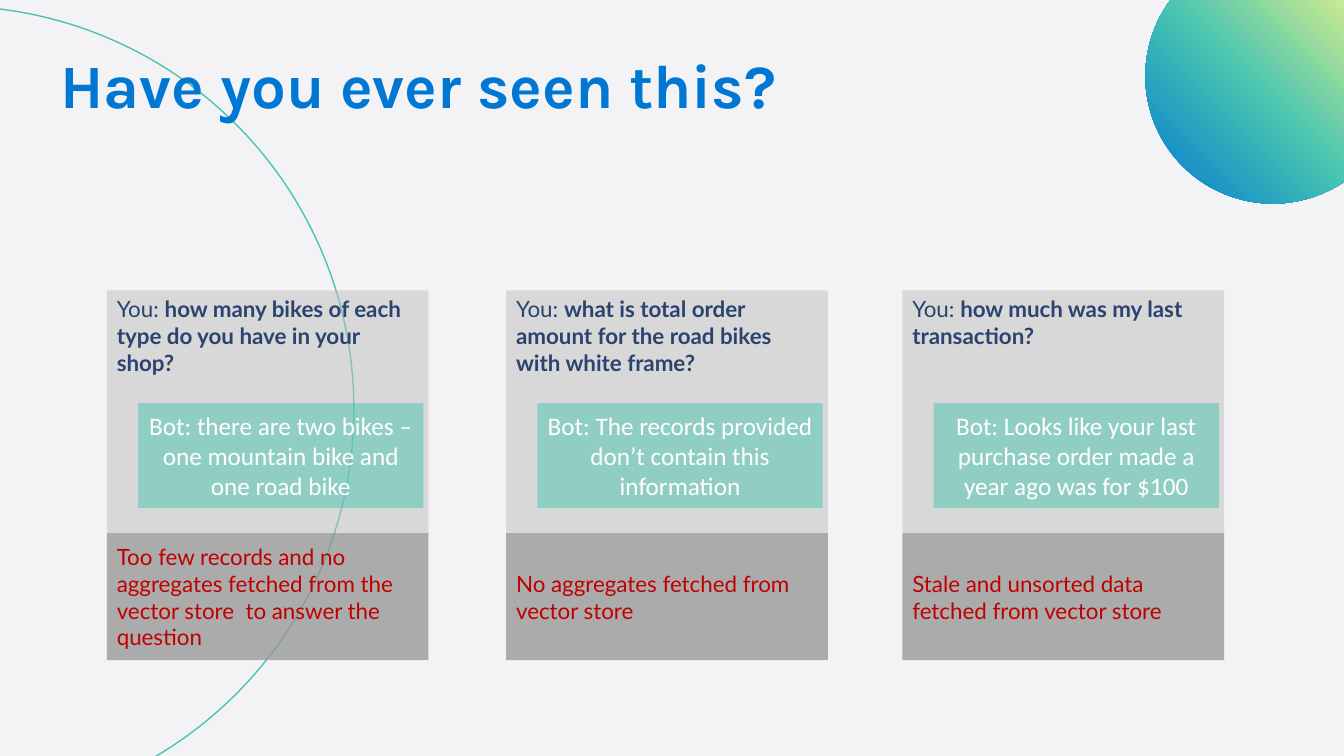
from lxml import etree
from pptx import Presentation
from pptx.dml.color import RGBColor
from pptx.enum import shapes, text
from pptx.oxml import ns
from pptx.util import Inches, Pt

HUES = {
    "back": "F3F3F5", "blue": "0078D3", "teal": "49C5B1", "lime": "D3EC8E",
    "card": "BFBFBF", "foot": "808080", "navy": "2A446F", "red": "C00000",
    "white": "FFFFFF",
}
CHATS = [
    (1.06, "how many bikes of each type do you have in your shop?",
     "Bot: there are two bikes – one mountain bike and one road bike",
     "Too few records and no aggregates fetched from the vector store  to answer the question"),
    (5.02, "what is total order amount for the road bikes with white frame?",
     "Bot: The records provided don’t contain this information",
     "No aggregates fetched from vector store"),
    (8.95, "how much was my last transaction?",
     "Bot: Looks like your last purchase order made a year ago was for $100",
     "Stale and unsorted data fetched from vector store"),
]


def color(name):
    return RGBColor.from_string(HUES[name])


def panel(left, top, width, height, fill, ink, font, size, words):
    """Add a half-transparent box; return its text frame and paragraph."""
    box = slide.shapes.add_shape(shapes.MSO_SHAPE.RECTANGLE, Inches(left),
                                 Inches(top), Inches(width), Inches(height))
    box.shadow.inherit = False
    box.line.fill.background()
    box.fill.solid()
    box.fill.fore_color.rgb = color(fill)
    tint = box._element.spPr.find(ns.qn("a:solidFill"))[0]
    etree.SubElement(tint, ns.qn("a:alpha"), val="50000")
    frame = box.text_frame
    frame.word_wrap = True
    frame.vertical_anchor = text.MSO_ANCHOR.MIDDLE
    para = frame.paragraphs[0]
    para.alignment = text.PP_ALIGN.LEFT
    para.add_run().text = words
    para.font.name, para.font.size = font, Pt(size)
    para.font.color.rgb = color(ink)
    return frame, para


deck = Presentation()
deck.slide_width, deck.slide_height = Inches(13.33), Inches(7.5)
slide = deck.slides.add_slide(deck.slide_layouts[6])
slide.background.fill.solid()
slide.background.fill.fore_color.rgb = color("back")

# Corner circles
ring = slide.shapes.add_shape(shapes.MSO_SHAPE.OVAL, Inches(-4.49),
                              Inches(0.06), Inches(8), Inches(8))
ring.shadow.inherit = False
ring.fill.background()
ring.line.color.rgb = color("teal")
ring.line.width = Pt(1)

ball = slide.shapes.add_shape(shapes.MSO_SHAPE.OVAL, Inches(11.36),
                              Inches(-0.51), Inches(2.53), Inches(2.53))
ball.shadow.inherit = False
ball.line.fill.background()
ball.fill.gradient()
ball.fill.gradient_angle = 45
stops = ball._element.spPr.find(ns.qn("a:gradFill")).find(ns.qn("a:gsLst"))
for stop in list(stops):
    stops.remove(stop)
for pos, name in [(0, "blue"), (44, "teal"), (81, "lime")]:
    stop = etree.SubElement(stops, ns.qn("a:gs"), pos=str(pos * 1000))
    etree.SubElement(stop, ns.qn("a:srgbClr"), val=HUES[name])

# Title
title = slide.shapes.add_textbox(Inches(0.6), 0, Inches(11.49), Inches(1.21))
frame = title.text_frame
frame.word_wrap = True
frame.vertical_anchor = text.MSO_ANCHOR.BOTTOM
frame.margin_left = frame.margin_right = 0
frame.margin_top = frame.margin_bottom = 0
head = frame.paragraphs[0]
head.text = "Have you ever seen this?"
head.line_spacing = 0.9
head.font.name, head.font.size, head.font.bold = "Karla", Pt(44), True
head.font.color.rgb = color("blue")

# Chat cards
for left, ask, reply, cause in CHATS:
    frame, para = panel(left, 2.88, 3.19, 3.67, "card", "navy", "Lato", 16, "You: ")
    frame.vertical_anchor = text.MSO_ANCHOR.TOP
    run = para.add_run()
    run.text = ask
    run.font.bold = True

    frame, para = panel(left + 0.31, 4, 2.83, 1.04, "teal", "white", "Calibri", 18, reply)
    para.alignment = text.PP_ALIGN.CENTER

    panel(left, 5.29, 3.19, 1.26, "foot", "red", "Lato", 16, cause)

deck.save("out.pptx")
